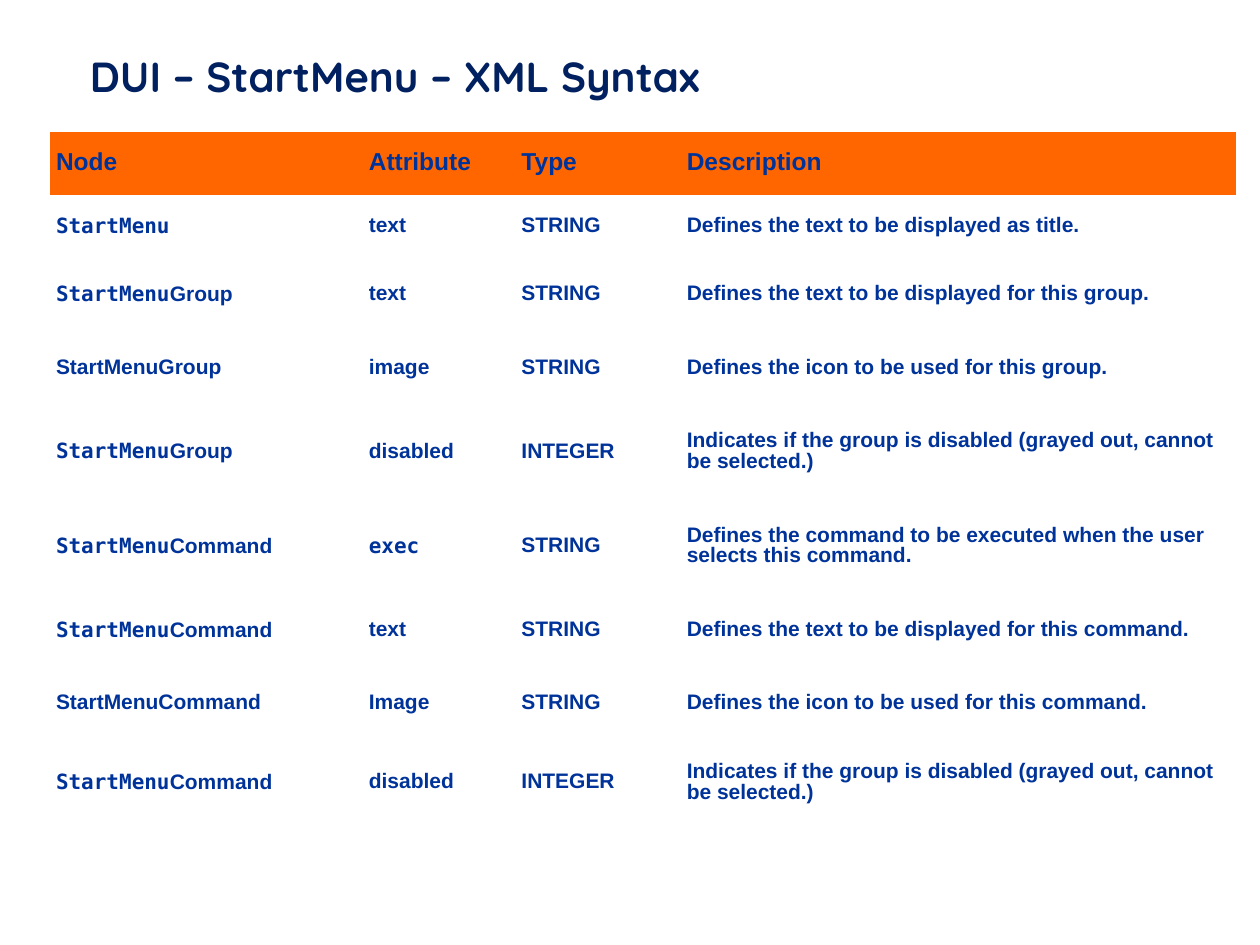
from pptx import Presentation
from pptx.dml.color import RGBColor
from pptx.enum.text import MSO_ANCHOR
from pptx.util import Pt

NAVY = RGBColor(0x00, 0x20, 0x60)
BLUE = RGBColor(0x00, 0x33, 0x99)
ORANGE = RGBColor(0xFF, 0x66, 0x00)
WHITE = RGBColor(0xFF, 0xFF, 0xFF)

NO_GRID_STYLE = "{2D5ABB26-0587-4C30-8999-92F81FD0307C}"
COLUMN_WIDTHS = [178.8, 87.2, 94.5, 317.5]
ROW_HEIGHTS = [36, 36, 42, 42, 54, 54, 42, 42, 48]

# Backticks enclose the parts set in the code font.
HEADER = ("Node", "Attribute", "Type", "Description")
GROUP = "`StartMenu`Group"
COMMAND = "`StartMenu`Command"
DISABLED = "Indicates if the group is disabled (grayed out, cannot be selected.)"
SYNTAX = [
    ("`StartMenu`", "text", "STRING", "Defines the text to be displayed as title."),
    (GROUP, "text", "STRING", "Defines the text to be displayed for this group."),
    ("StartMenuGroup", "image", "STRING", "Defines the icon to be used for this group."),
    (GROUP, "disabled", "INTEGER", DISABLED),
    (COMMAND, "`exec`", "STRING",
     "Defines the command to be executed when the user selects this command."),
    (COMMAND, "text", "STRING", "Defines the text to be displayed for this command."),
    ("StartMenuCommand", "Image", "STRING", "Defines the icon to be used for this command."),
    (COMMAND, "disabled", "INTEGER", DISABLED),
]


class SlideBuilder:
    title_font = "Quicksand"
    body_font = "Arial"
    code_font = "DejaVu Sans Mono"
    cell_margin = Pt(3.6)

    def __init__(self, slide):
        self.slide = slide

    def set_font(self, paragraph, size, color):
        paragraph.font.size = Pt(size)
        paragraph.font.bold = True
        paragraph.font.color.rgb = color

    def title(self, text, left, top, width, height):
        frame = self.slide.shapes.add_textbox(
            Pt(left), Pt(top), Pt(width), Pt(height)).text_frame
        frame.word_wrap = True
        frame.vertical_anchor = MSO_ANCHOR.MIDDLE
        frame.margin_left = frame.margin_right = 0
        frame.margin_top = frame.margin_bottom = 0
        paragraph = frame.paragraphs[0]
        paragraph.text = text
        self.set_font(paragraph, 24, NAVY)
        paragraph.font.name = self.title_font

    def cell(self, cell, text, size, fill):
        cell.fill.solid()
        cell.fill.fore_color.rgb = fill
        cell.vertical_anchor = MSO_ANCHOR.MIDDLE
        cell.margin_left = cell.margin_right = self.cell_margin
        cell.margin_top = cell.margin_bottom = self.cell_margin
        paragraph = cell.text_frame.paragraphs[0]
        paragraph.line_spacing = 0.96 if "`" in text else 0.88
        self.set_font(paragraph, size, BLUE)
        pieces = [(piece, self.code_font if index % 2 else self.body_font)
                  for index, piece in enumerate(text.split("`")) if piece]
        if len(pieces) == 1:
            paragraph.text, paragraph.font.name = pieces[0]
            return
        for piece, font in pieces:
            run = paragraph.add_run()
            run.text = piece
            run.font.name = font

    def table(self, rows, left, top):
        table = self.slide.shapes.add_table(
            len(rows), len(COLUMN_WIDTHS), Pt(left), Pt(top),
            Pt(sum(COLUMN_WIDTHS)), Pt(sum(ROW_HEIGHTS))).table
        table.horz_banding = False
        table._tbl.tblPr.find("{*}tableStyleId").text = NO_GRID_STYLE
        for column, width in zip(table.columns, COLUMN_WIDTHS):
            column.width = Pt(width)
        for index, (row, height, texts) in enumerate(zip(table.rows, ROW_HEIGHTS, rows)):
            row.height = Pt(height)
            size, fill = (12, WHITE) if index else (14, ORANGE)
            for cell, text in zip(row.cells, texts):
                self.cell(cell, text, size, fill)


def main():
    presentation = Presentation()
    presentation.slide_width, presentation.slide_height = Pt(720), Pt(540)
    builder = SlideBuilder(presentation.slides.add_slide(presentation.slide_layouts[6]))
    builder.title("DUI – StartMenu – XML Syntax", 51.4, 17.5, 615, 51)
    builder.table([HEADER, *SYNTAX], 28.4, 75.2)
    presentation.save("out.pptx")


if __name__ == "__main__":
    main()
